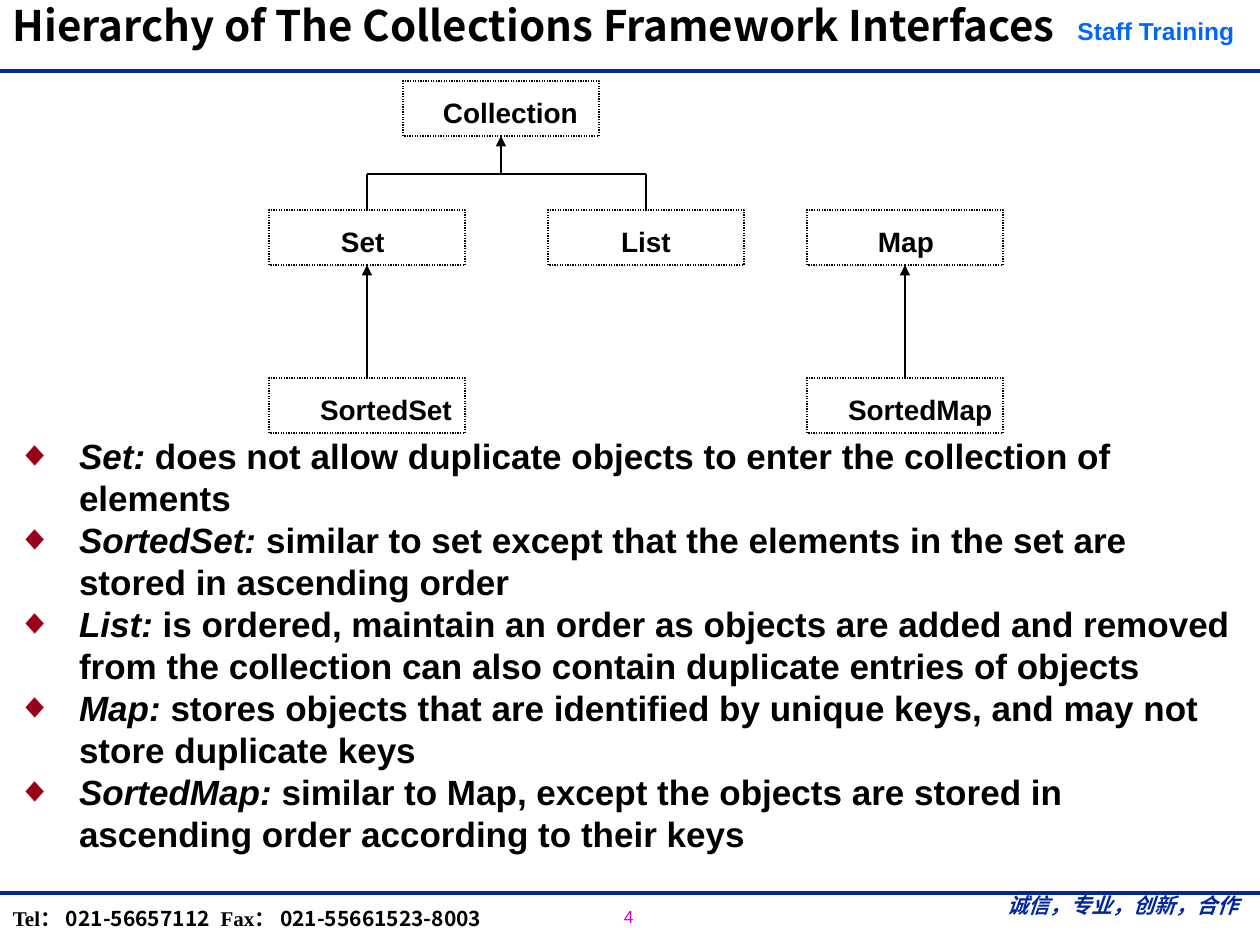
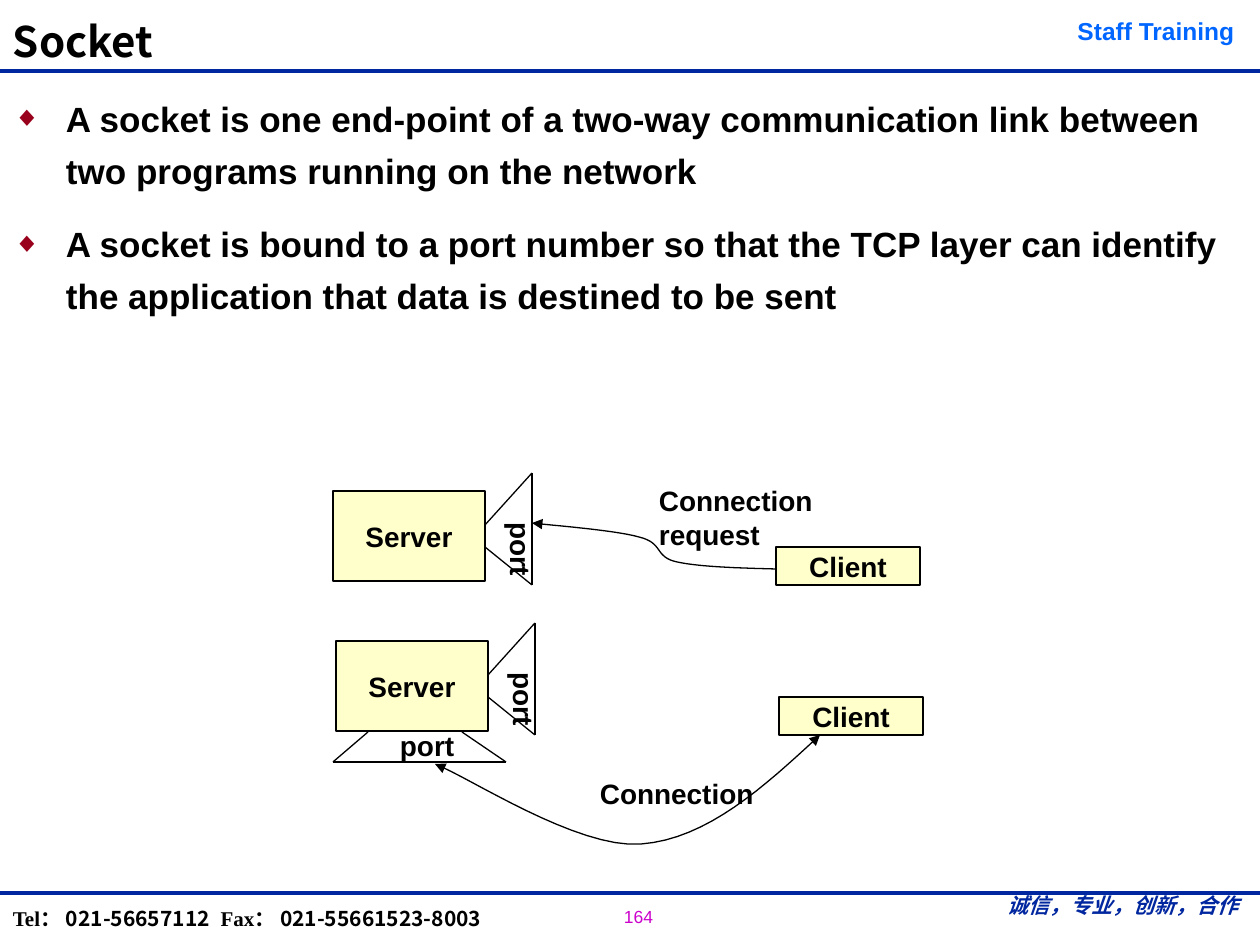
from lxml.etree import SubElement
from pptx import Presentation
from pptx.dml.color import RGBColor
from pptx.enum.dml import MSO_LINE
from pptx.enum.shapes import MSO_CONNECTOR, MSO_SHAPE
from pptx.enum.text import MSO_ANCHOR, MSO_AUTO_SIZE, PP_ALIGN
from pptx.oxml.ns import qn
from pptx.util import Emu, Pt

SCALE = 914400 / 126
COLORS = {
    "ink": "000000", "rule": "00279F", "brand": "0066FF", "number": "CC00CC",
    "bullet": "99001B", "box": "FFFFCC",
}
ARIAL, CJK, TIMES = "Arial", "Noto Sans CJK SC", "Times New Roman"
TOP, BOTTOM = 0, 2
INSETS = (13, 6, 13, 6)


def px(n):
    return Emu(round(n * SCALE))


def rgb(name):
    return RGBColor.from_string(COLORS[name])


def format_run(r, size=16, font=ARIAL, color="ink", bold=True, italic=False):
    f = r.font
    f.size, f.name, f.bold, f.italic = Pt(size), font, bold, italic
    f.color.rgb = rgb(color)
    SubElement(r._r.rPr, qn("a:ea"), typeface=CJK)


def add_bullet(p, indent, percent):
    pPr = p._p.get_or_add_pPr()
    pPr.set("marL", str(px(indent)))
    pPr.set("indent", str(-px(indent)))
    clr = SubElement(pPr, qn("a:buClr"))
    SubElement(clr, qn("a:srgbClr"), val=COLORS["bullet"])
    SubElement(pPr, qn("a:buSzPct"), val=str(percent * 1000))
    SubElement(pPr, qn("a:buFont"), typeface=ARIAL)
    SubElement(pPr, qn("a:buChar"), char="◆")


def write(tf, paragraphs, align=PP_ALIGN.LEFT, anchor=MSO_ANCHOR.TOP, wrap=True,
          insets=INSETS, spacing=None, after=0, bullet=None, **fmt):
    """Fill tf; each paragraph is a string or a list of (text, run format) pairs."""
    tf.word_wrap, tf.auto_size, tf.vertical_anchor = wrap, MSO_AUTO_SIZE.NONE, anchor
    tf.margin_left, tf.margin_top, tf.margin_right, tf.margin_bottom = map(px, insets)
    for i, runs in enumerate(paragraphs):
        p = tf.add_paragraph() if i else tf.paragraphs[0]
        if bullet:
            add_bullet(p, *bullet)
        p.alignment, p.line_spacing = align, spacing
        p.space_before, p.space_after = Pt(0), Pt(after)
        for text, extra in [(runs, {})] if isinstance(runs, str) else runs:
            r = p.add_run()
            r.text = text
            format_run(r, **{**fmt, **extra})


def bezier(points, steps=16):
    """Sample a chain of cubic curves given as start, then three points each."""
    result = [points[0]]
    for i in range(0, len(points) - 1, 3):
        a, b, c, d = points[i:i + 4]
        for t in (n / steps for n in range(1, steps + 1)):
            u = 1 - t
            result.append(tuple(
                u ** 3 * a[k] + 3 * u * u * t * b[k] + 3 * u * t * t * c[k] + t ** 3 * d[k]
                for k in (0, 1)))
    return result


class Deck:
    def __init__(self):
        self.prs = Presentation()
        self.prs.slide_width, self.prs.slide_height = px(1260), px(945)
        self.s = None

    def slide(self, number):
        self.s = self.prs.slides.add_slide(self.prs.slide_layouts[1])
        for y in (71, 893):
            self.line((0, y), (1260, y), color="rule", width=2.75)
        self.text([number], 611, 900, 105, 33, size=10, color="number", bold=False)
        self.text(["诚信，专业，创新，合作"], 992, 887, 262, 50, align=PP_ALIGN.CENTER,
                  size=12, font=TIMES, color="rule", italic=True)
        digits = {"font": CJK}
        self.text([[("Tel： ", {}), ("021-56657112", digits), (" ", {"size": 24}),
                    ("Fax： ", {}), ("021-55661523-8003", digits)]],
                  0, 879, 541, 63, size=12, font=TIMES)
        self.text(["Staff Training"], 1056, 10, 200, 42, align=PP_ALIGN.CENTER,
                  size=14, color="brand")

    def place(self, sp, x, y, w, h):
        sp.left, sp.top, sp.width, sp.height = map(px, (x, y, w, h))

    def title(self, text, w, h, anchor=MSO_ANCHOR.TOP):
        sp = self.s.shapes.title
        self.place(sp, 0, 0, w, h)
        write(sp.text_frame, [text], anchor=anchor, spacing=0.87, size=24, font=CJK)

    def bullets(self, items, x, y, w, h, **kw):
        sp = self.s.placeholders[1]
        self.place(sp, x, y, w, h)
        write(sp.text_frame, items, size=20, **kw)

    def text(self, paragraphs, x, y, w, h, vertical=False, **kw):
        sp = self.s.shapes.add_textbox(*map(px, (x, y, w, h)))
        write(sp.text_frame, paragraphs, **kw)
        if vertical:
            sp.text_frame._txBody.bodyPr.set("vert", "eaVert")

    def rect(self, label, x, y, w, h, fill=None, dash=None, **kw):
        sp = self.s.shapes.add_shape(MSO_SHAPE.RECTANGLE, *map(px, (x, y, w, h)))
        sp.shadow.inherit = False
        if fill:
            sp.fill.solid()
            sp.fill.fore_color.rgb = rgb(fill)
        else:
            sp.fill.background()
        self.stroke(sp)
        if dash:
            sp.line.dash_style = dash
        write(sp.text_frame, [label], anchor=MSO_ANCHOR.MIDDLE, **kw)
        return sp

    def stroke(self, sp, color="ink", width=0.75, arrows=()):
        sp.line.color.rgb = rgb(color)
        sp.line.width = Pt(width)
        ln = sp._element.spPr.find(qn("a:ln"))
        for end in arrows:
            SubElement(ln, qn(f"a:{end}End"), type="triangle")

    def line(self, begin, end, **stroke):
        """Each end is a point, or a (shape, side) pair to join."""
        cx = self.s.shapes.add_connector(MSO_CONNECTOR.STRAIGHT, 0, 0, 0, 0)
        if isinstance(begin[0], int):
            cx.begin_x, cx.begin_y = map(px, begin)
        else:
            cx.begin_connect(*begin)
        if isinstance(end[0], int):
            cx.end_x, cx.end_y = map(px, end)
        else:
            cx.end_connect(*end)
        self.stroke(cx, **stroke)
        SubElement(cx._element.spPr, qn("a:effectLst"))

    def polyline(self, points):
        for begin, end in zip(points, points[1:]):
            self.line(begin, end)

    def curve(self, points, arrows):
        start, *rest = [(px(x), px(y)) for x, y in bezier(points)]
        fb = self.s.shapes.build_freeform(*start)
        fb.add_line_segments(rest, close=False)
        sp = fb.convert_to_shape()
        sp.shadow.inherit = False
        sp.fill.background()
        self.stroke(sp, arrows=arrows)


def collections_slide(d):
    d.slide("4")
    d.title("Hierarchy of The Collections Framework Interfaces", 1260, 100)
    top, middle, low = 81, 210, 378
    boxes = {}
    for name, x, y, indent in (
            ("Collection", 403, top, 40), ("Set", 269, middle, 72),
            ("List", 548, middle, 73), ("Map", 807, middle, 71),
            ("SortedSet", 269, low, 51), ("SortedMap", 807, low, 41)):
        boxes[name] = d.rect(name, x, y, 196, 55, dash=MSO_LINE.ROUND_DOT,
                             insets=(indent, 13, 0, 6))
    set_x, collection_x, list_x, bus_y = 367, 501, 646, 174
    d.line((set_x, bus_y), (list_x, bus_y))
    for name, x in (("Set", set_x), ("List", list_x)):
        d.line((x, bus_y), (boxes[name], TOP))
    d.line((collection_x, bus_y), (boxes["Collection"], BOTTOM), arrows=["tail"])
    for name in ("Set", "Map"):
        d.line((boxes["Sorted" + name], TOP), (boxes[name], BOTTOM), arrows=["tail"])

    definitions = (
        ("Set:", "does not allow duplicate objects to enter the collection of elements"),
        ("SortedSet:", "similar to set except that the elements in the set are "
                       "stored in ascending order"),
        ("List:", "is ordered, maintain an order as objects are added and removed "
                  "from the collection can also contain duplicate entries of objects"),
        ("Map:", "stores objects that are identified by unique keys, and may not "
                 "store duplicate keys"),
        ("SortedMap:", "similar to Map, except the objects are stored in ascending "
                       "order according to their keys"),
    )
    d.bullets([[(term, {"italic": True}), (" " + meaning, {})]
               for term, meaning in definitions],
              4, 428, 1246, 433, bullet=(62, 100))


def socket_slide(d):
    d.slide("164")
    d.title("Socket", 1051, 72, anchor=MSO_ANCHOR.BOTTOM)
    d.bullets(["A socket is one end-point of a two-way communication link between "
               "two programs running on the network",
               "A socket is bound to a port number so that the TCP layer can identify "
               "the application that data is destined to be sent"],
              0, 81, 1260, 803, spacing=Pt(29.9), after=11.8, bullet=(53, 80))

    for x, y in ((333, 491), (336, 641)):
        for label, dx, dy, w, h in (("Server", 0, 0, 152, 90), ("Client", 443, 56, 144, 38)):
            d.rect(label, x + dx, y + dy, w, h, fill="box", align=PP_ALIGN.CENTER, wrap=False)
        d.polyline([(x + 152, y + 34), (x + 199, y - 18), (x + 199, y + 94), (x + 152, y + 56)])
        d.text(["port"], x + 153, y + 18, 58, 67, vertical=True, wrap=False,
               insets=(6, 13, 6, 13))
    d.polyline([(368, 732), (333, 762), (506, 762), (462, 732)])
    d.text(["port"], 387, 723, 79, 47, wrap=False)

    d.curve([(776, 569), (738, 568), (701, 567), (677, 562), (654, 557), (664, 543),
             (639, 537), (615, 530), (547, 525), (532, 523)], arrows=["tail"])
    d.text(["Connection", "request"], 646, 478, 178, 79, wrap=False)
    d.curve([(820, 735), (764, 787), (707, 839), (641, 844), (577, 849), (469, 777),
             (435, 764)], arrows=["head", "tail"])
    d.text(["Connection"], 587, 771, 178, 47, wrap=False)


def main():
    d = Deck()
    collections_slide(d)
    socket_slide(d)
    d.prs.save("out.pptx")


if __name__ == "__main__":
    main()
